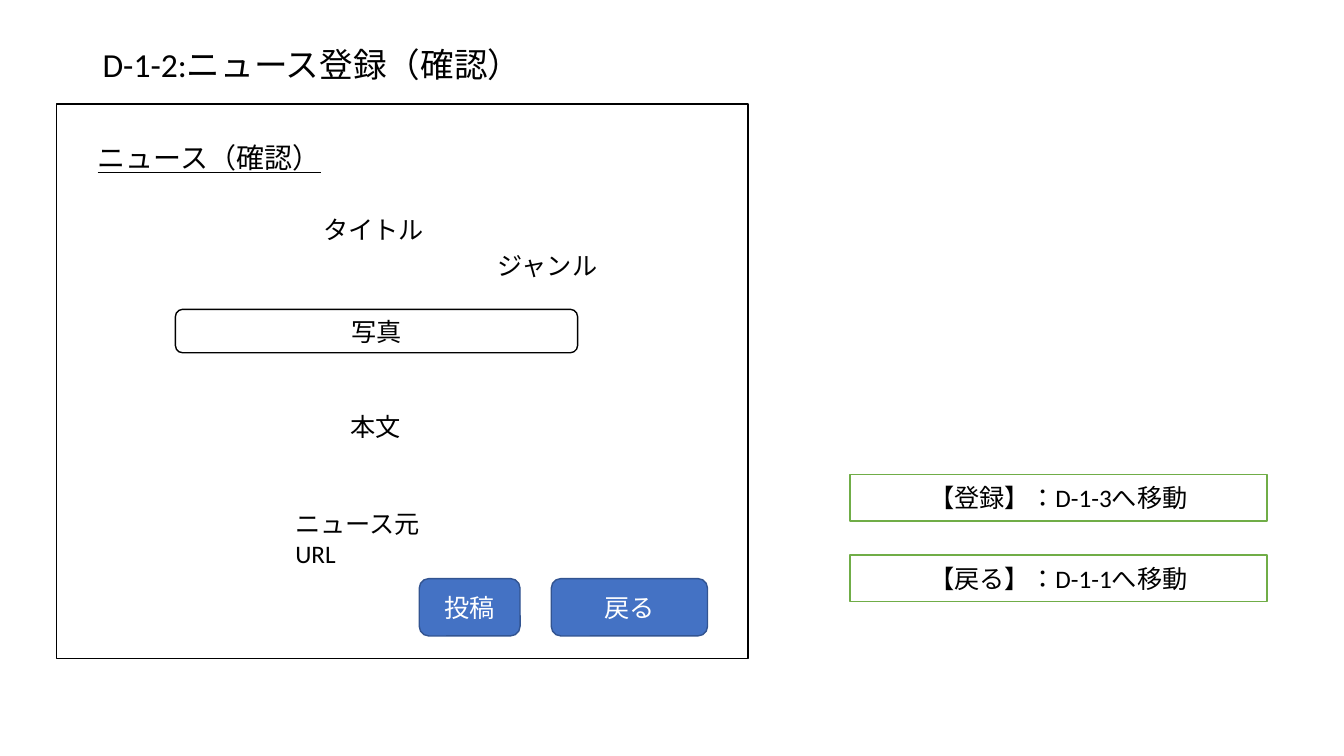
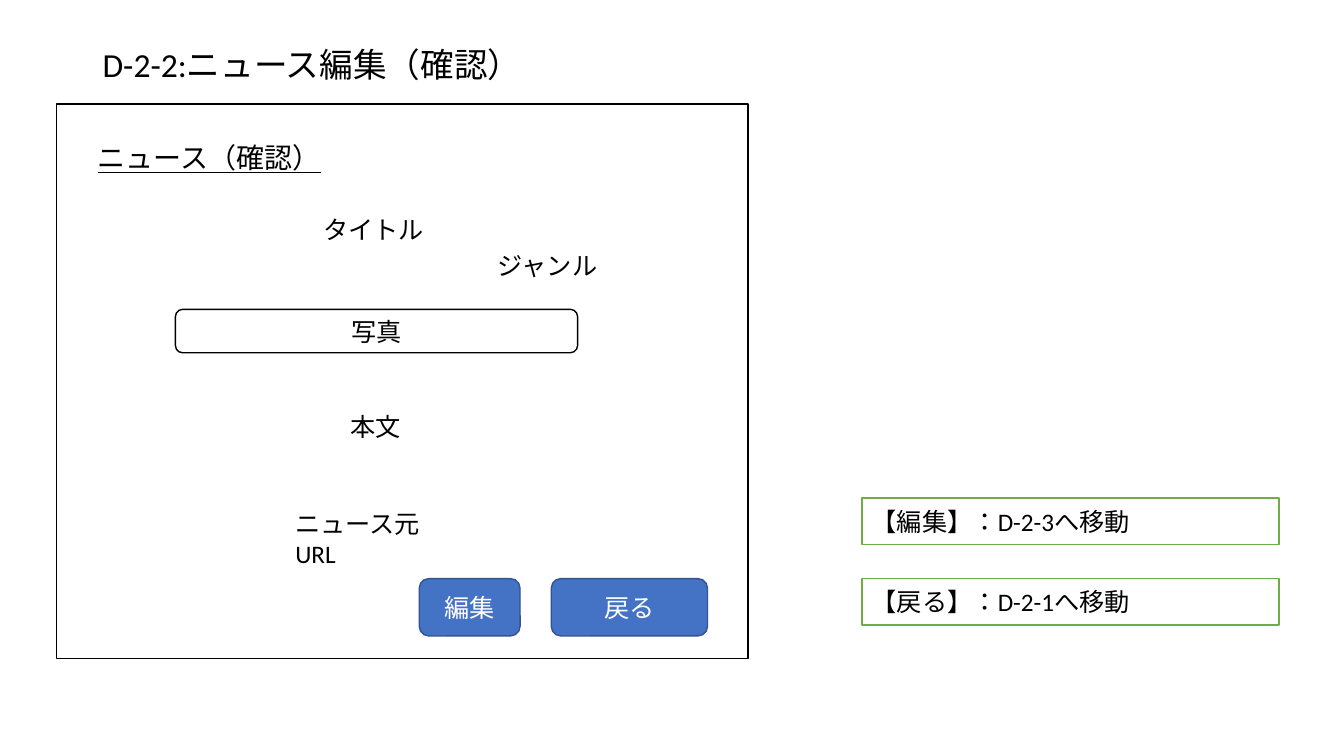
"""Build the two news confirmation screen slides."""
from dataclasses import dataclass

from pptx import Presentation
from pptx.dml.color import RGBColor
from pptx.enum.lang import MSO_LANGUAGE_ID
from pptx.enum.shapes import MSO_SHAPE
from pptx.enum.text import MSO_ANCHOR, PP_ALIGN
from pptx.util import Pt

RECT, ROUNDED = MSO_SHAPE.RECTANGLE, MSO_SHAPE.ROUNDED_RECTANGLE
TOP, MIDDLE = MSO_ANCHOR.TOP, MSO_ANCHOR.MIDDLE
LEFT, CENTER = PP_ALIGN.LEFT, PP_ALIGN.CENTER
JAPANESE = MSO_LANGUAGE_ID.JAPANESE


@dataclass(frozen=True)
class Theme:
    font: str = "Calibri"
    ink: str = "000000"
    paper: str = "FFFFFF"
    button: str = "4472C4"
    button_edge: str = "325491"
    note_edge: str = "70AD47"
    title_size: int = 24
    heading_size: int = 20
    body_size: int = 18
    line_width: int = 1


THEME = Theme()

PAGES = [
    {
        "title": "D-1-2:ニュース登録（確認）",
        "action": "投稿",
        "notes": ["【登録】：D-1-3へ移動", "【戻る】：D-1-1へ移動"],
        "notes_at": (607, 339),
        "notes_align": CENTER,
    },
    {
        "title": "D-2-2:ニュース編集（確認）",
        "action": "編集",
        "notes": ["【編集】：D-2-3へ移動", "【戻る】：D-2-1へ移動"],
        "notes_at": (615.6, 355.7),
        "notes_align": LEFT,
    },
]

HEADING = "ニュース（確認）"
PHOTO = "写真"
BACK = "戻る"
FIELDS = [
    ("タイトル", (223.9, 149.8, 88, 28.8)),
    ("ジャンル", (348.5, 175, 106, 28.8)),
    ("本文", (243.4, 290.2, 51, 30.2)),
    ("ニュース元URL", (203.8, 359.3, 130.3, 28.8)),
]

SLIDE_SIZE = (960, 540)
TITLE_BOX = (66.2, 28.8, 827.3, 37.4)
SCREEN_BOX = (40.3, 74.2, 493.9, 396)
HEADING_BOX = (62.6, 96.5, 216, 31.7)
PHOTO_BOX = (125.3, 221, 287.3, 31)
ACTION_BOX = (299.5, 413.3, 72, 41)
BACK_BOX = (393.8, 413.3, 111.6, 41)
NOTE_SIZE = (298, 33.1)
NOTE_PITCH = 57.6


def write(shape, text, size=THEME.body_size, color=THEME.ink, align=LEFT,
          anchor=TOP, underline=None, spacing=None):
    frame = shape.text_frame
    frame.word_wrap = True
    frame.vertical_anchor = anchor
    paragraph = frame.paragraphs[0]
    paragraph.alignment = align
    paragraph.line_spacing = spacing
    run = paragraph.add_run()
    run.text = text
    font = run.font
    font.name = THEME.font
    font.size = Pt(size)
    font.color.rgb = RGBColor.from_string(color)
    font.underline = underline
    font.language_id = JAPANESE


def add_label(slide, text, box, **text_format):
    write(slide.shapes.add_textbox(*map(Pt, box)), text, **text_format)


def add_panel(slide, box, kind=RECT, fill=THEME.paper, edge=THEME.ink):
    panel = slide.shapes.add_shape(kind, *map(Pt, box))
    panel.shadow.inherit = False
    panel.fill.solid()
    panel.fill.fore_color.rgb = RGBColor.from_string(fill)
    panel.line.color.rgb = RGBColor.from_string(edge)
    panel.line.width = Pt(THEME.line_width)
    return panel


def add_screen(slide, action):
    add_panel(slide, SCREEN_BOX)
    add_label(slide, HEADING, HEADING_BOX, size=THEME.heading_size, underline=True)
    write(add_panel(slide, PHOTO_BOX, ROUNDED), PHOTO, align=CENTER, anchor=MIDDLE)
    for caption, box in FIELDS:
        add_label(slide, caption, box)
    for caption, box in ((action, ACTION_BOX), (BACK, BACK_BOX)):
        button = add_panel(slide, box, ROUNDED, THEME.button, THEME.button_edge)
        write(button, caption, color=THEME.paper, align=CENTER, anchor=MIDDLE)


def add_notes(slide, notes, origin, align):
    left, top = origin
    for row, note in enumerate(notes):
        box = (left, top + row * NOTE_PITCH, *NOTE_SIZE)
        panel = add_panel(slide, box, edge=THEME.note_edge)
        write(panel, note, align=align, anchor=MIDDLE)


def main():
    deck = Presentation()
    deck.slide_width, deck.slide_height = map(Pt, SLIDE_SIZE)
    blank = deck.slide_layouts[6]
    for page in PAGES:
        slide = deck.slides.add_slide(blank)
        add_label(slide, page["title"], TITLE_BOX, size=THEME.title_size,
                  anchor=MIDDLE, spacing=0.9)
        add_screen(slide, page["action"])
        add_notes(slide, page["notes"], page["notes_at"], page["notes_align"])
    deck.save("out.pptx")


if __name__ == "__main__":
    main()
